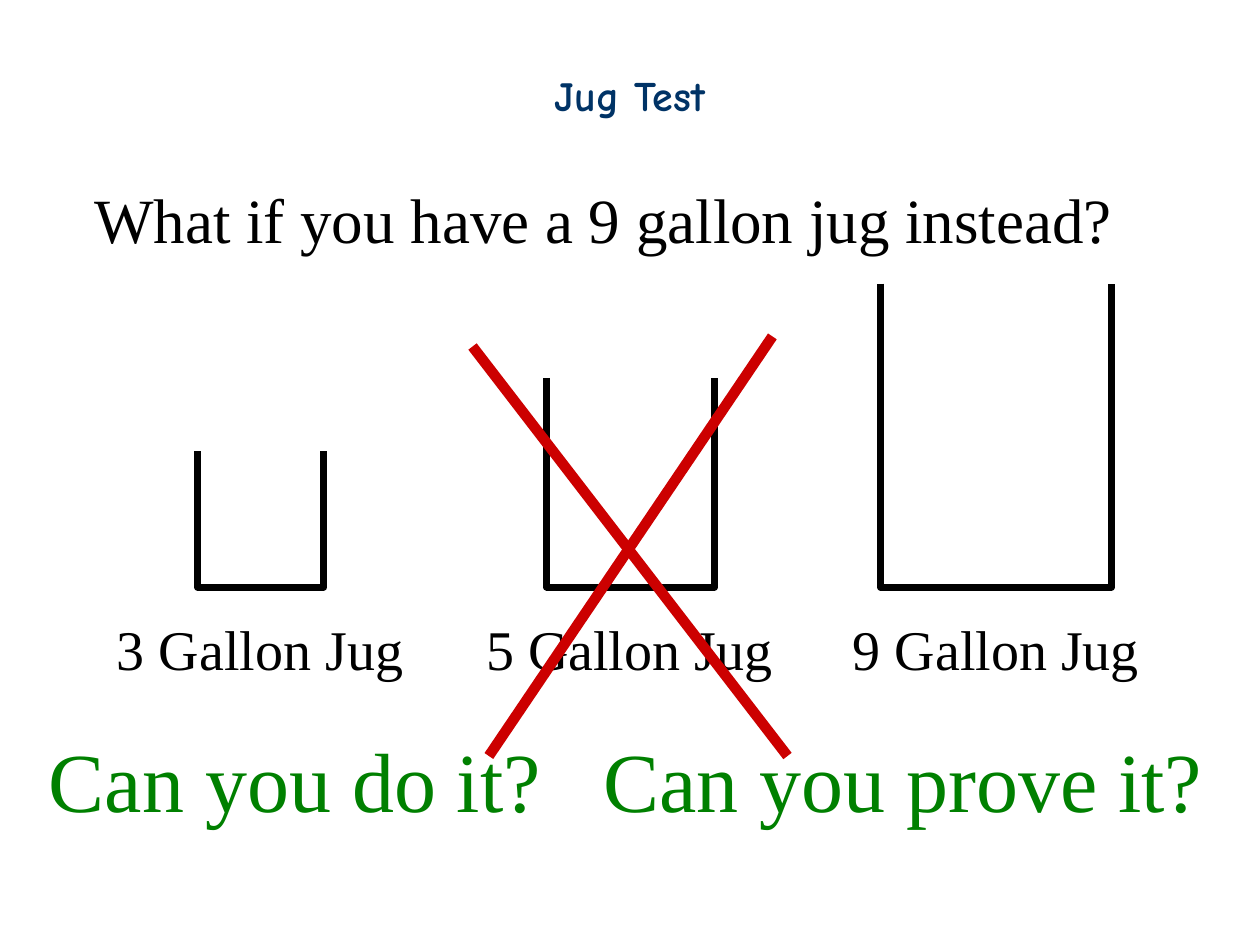
import pptx
import pptx.dml.color
import pptx.enum.shapes
import pptx.enum.text
import pptx.oxml.ns
import pptx.util
from lxml import etree
from pptx.util import Inches

SERIF = "Times New Roman"
BLACK = "000000"
RED = "CC0000"
GREEN = "008000"
NAVY = "003366"
JUG_BOTTOM = 4.66
LABEL_TOP = 4.83


def color(value):
    """Return the colour for a hex string."""
    return pptx.dml.color.RGBColor.from_string(value)


def add_text(slide, text, box, size, font=SERIF, fill=BLACK, bold=False):
    """Add one unwrapped line of text and return its paragraph."""
    shape = slide.shapes.add_textbox(*[Inches(length) for length in box])
    frame = shape.text_frame
    frame.word_wrap = False
    frame.auto_size = pptx.enum.text.MSO_AUTO_SIZE.SHAPE_TO_FIT_TEXT
    paragraph = frame.paragraphs[0]
    paragraph.text = text
    paragraph.font.name = font
    paragraph.font.size = pptx.util.Pt(size)
    paragraph.font.bold = bold
    paragraph.font.color.rgb = color(fill)
    return paragraph


def add_tab_stop(paragraph, position):
    """Give a paragraph a left tab stop at a position in inches."""
    properties = paragraph._p.get_or_add_pPr()
    stops = etree.Element(pptx.oxml.ns.qn("a:tabLst"))
    etree.SubElement(stops, pptx.oxml.ns.qn("a:tab"), pos=str(Inches(position)), algn="l")
    properties.insert_element_before(stops, "a:defRPr", "a:extLst")


def add_jug(slide, left, width, height):
    """Draw an open jug standing on the common bottom line."""
    top, right = JUG_BOTTOM - height, left + width
    corners = [(left, JUG_BOTTOM), (right, JUG_BOTTOM), (right, top)]
    builder = slide.shapes.build_freeform(Inches(left), Inches(top))
    builder.add_line_segments([(Inches(x), Inches(y)) for x, y in corners], close=False)
    shape = builder.convert_to_shape()
    shape.shadow.inherit = False
    shape.fill.background()
    shape.line.color.rgb = color(BLACK)
    shape.line.width = pptx.util.Pt(4)


def add_stroke(slide, start, end):
    """Draw one red stroke of the cross."""
    line = slide.shapes.add_connector(
        pptx.enum.shapes.MSO_CONNECTOR.STRAIGHT,
        *[Inches(length) for length in start + end])
    line.line.color.rgb = color(RED)
    line.line.width = pptx.util.Pt(6)
    etree.SubElement(line._element.spPr, pptx.oxml.ns.qn("a:effectLst"))


def main():
    """Build the slide and save it."""
    presentation = pptx.Presentation()
    presentation.slide_width = Inches(10)
    presentation.slide_height = Inches(7.5)
    slide = presentation.slides.add_slide(presentation.slide_layouts[6])

    title = add_text(slide, "Jug Test", (4.1, 0.5, 1.8, 0.5), 24, "Comic Neue", NAVY, True)
    title.alignment = pptx.enum.text.PP_ALIGN.CENTER
    add_text(slide, "What if you have a 9 gallon jug instead?", (0.65, 1.38, 8.3, 0.7), 36)

    jugs = [
        (3, 0.83, 1.57, 1, 1.08),
        (5, 3.76, 4.34, 1.33, 1.66),
        (9, 6.67, 6.99, 1.83, 2.41),
    ]
    for gallons, label_left, left, width, height in jugs:
        add_text(slide, f"{gallons} Gallon Jug", (label_left, LABEL_TOP, 2.5, 0.63), 32)
        add_jug(slide, left, width, height)

    add_stroke(slide, (3.75, 2.75), (6.25, 6))
    add_stroke(slide, (3.88, 6), (6.13, 2.67))

    questions = add_text(slide, "Can you do it?\tCan you prove it?",
                         (0.29, 5.73, 9.4, 0.9), 48, fill=GREEN)
    add_tab_stop(questions, 4.4)

    presentation.save("out.pptx")


if __name__ == "__main__":
    main()
